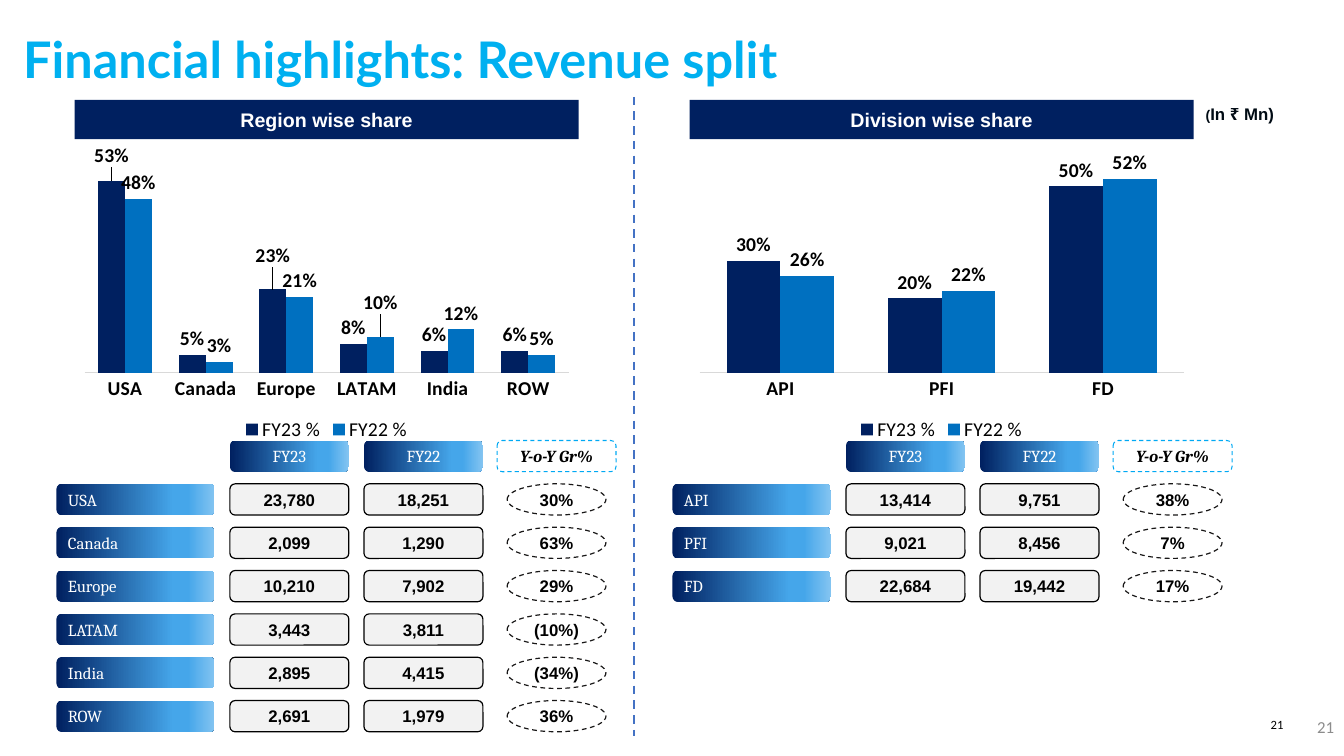
"""Build the revenue split slide with two charts and their figures."""
from copy import deepcopy

from lxml import etree
from pptx import Presentation
from pptx import util as u
from pptx.chart.data import CategoryChartData
from pptx.dml.color import RGBColor
from pptx.enum import chart as ch, dml, shapes, text
from pptx.oxml import parse_xml
from pptx.oxml.ns import nsdecls, qn

NAVY = RGBColor(0x00, 0x20, 0x60)
BLUE = RGBColor(0x00, 0x70, 0xC0)
SKY = RGBColor(0x00, 0xB0, 0xF0)
CYAN = RGBColor(0x00, 0xA9, 0xF4)
DIVIDER = RGBColor(0x44, 0x72, 0xC4)
MID = RGBColor(0x45, 0xA6, 0xEA)
PALE = RGBColor(0x83, 0xC4, 0xF1)
INK = RGBColor(0x00, 0x0B, 0x14)
OVAL = RGBColor(0x18, 0x17, 0x17)
BLACK = RGBColor(0, 0, 0)
WHITE = RGBColor(0xFF, 0xFF, 0xFF)
LIGHT = RGBColor(0xF2, 0xF2, 0xF2)
RULE = RGBColor(0xD9, 0xD9, 0xD9)
GREY = RGBColor(0x8C, 0x8C, 0x8C)

GRADIENT = [(0, NAVY), (0.74, MID), (0.83, MID), (1, PALE)]
LEFT, CENTER, RIGHT = text.PP_ALIGN.LEFT, text.PP_ALIGN.CENTER, text.PP_ALIGN.RIGHT
RECT = shapes.MSO_SHAPE.RECTANGLE
ROUND = shapes.MSO_SHAPE.ROUNDED_RECTANGLE
ELLIPSE = shapes.MSO_SHAPE.OVAL
TABLE_TOP, ROW_PITCH, ROW_HEIGHT = 4.37, 0.43, 0.31
LABEL_WIDTH, CELL_WIDTH, OVAL_WIDTH = 1.57, 1.18, 0.98
COLUMNS = [1.72, 3.05, 4.37]

REGIONS = [
    ("USA", "23,780", "18,251", "30%", 0.53, 0.48),
    ("Canada", "2,099", "1,290", "63%", 0.05, 0.03),
    ("Europe", "10,210", "7,902", "29%", 0.23, 0.21),
    ("LATAM", "3,443", "3,811", "(10%)", 0.08, 0.10),
    ("India", "2,895", "4,415", "(34%)", 0.06, 0.12),
    ("ROW", "2,691", "1,979", "36%", 0.06, 0.05),
]
DIVISIONS = [
    ("API", "13,414", "9,751", "38%", 0.30, 0.26),
    ("PFI", "9,021", "8,456", "7%", 0.20, 0.22),
    ("FD", "22,684", "19,442", "17%", 0.50, 0.52),
]
RAISED_LABELS = [(0, 0, -0.03), (0, 2, -0.06), (1, 3, -0.06)]


class Deck:
    def __init__(self):
        self.prs = Presentation()
        self.prs.slide_width, self.prs.slide_height = u.Inches(13.33), u.Inches(7.5)
        self.slide = self.prs.slides.add_slide(self.prs.slide_layouts[5])

    def font(self, font, name, size, color, bold=False, italic=False):
        font.name, font.size, font.color.rgb = name, u.Pt(size), color
        font.bold, font.italic = bold, italic

    def set_text(self, sp, words, align, *style, anchor=text.MSO_ANCHOR.MIDDLE):
        tf = sp.text_frame
        tf.word_wrap = True
        tf.auto_size = text.MSO_AUTO_SIZE.NONE
        tf.vertical_anchor = anchor
        p = tf.paragraphs[0]
        p.alignment = align
        self.font(p.font, *style)
        for word in words:
            p.add_run().text = word
        return p

    def title(self, words, x, y, w, h):
        sp = self.slide.shapes.title
        sp.left, sp.top, sp.width, sp.height = map(u.Inches, (x, y, w, h))
        self.set_text(sp, [words], LEFT, "Lato", 36, SKY, True)

    def box(self, words, x, y, w, h, align, *style, **options):
        sp = self.slide.shapes.add_textbox(*map(u.Inches, (x, y, w, h)))
        return sp, self.set_text(sp, words, align, *style, **options)

    def shape(self, kind, words, x, y, w, align, *style, h=ROW_HEIGHT,
              fill=None, line=None, width=0.85, dashed=False):
        sp = self.slide.shapes.add_shape(kind, *map(u.Inches, (x, y, w, h)))
        sp.shadow.inherit = False
        if fill is GRADIENT:
            self.gradient(sp)
        elif fill is None:
            sp.fill.background()
        else:
            sp.fill.solid()
            sp.fill.fore_color.rgb = fill
        if line is None:
            sp.line.fill.background()
        else:
            sp.line.color.rgb, sp.line.width = line, u.Pt(width)
            if dashed:
                sp.line.dash_style = dml.MSO_LINE.DASH
        self.set_text(sp, [words], align, *style)

    def gradient(self, sp):
        sp.fill.gradient()
        sp.fill.gradient_angle = 0
        stops = sp.element.spPr.find(".//" + qn("a:gsLst"))
        while len(stops) < len(GRADIENT):
            stops.append(deepcopy(stops[0]))
        for stop, (position, color) in zip(sp.fill.gradient_stops, GRADIENT):
            stop.position, stop.color.rgb = position, color

    def divider(self, x, top, bottom):
        line = self.slide.shapes.add_connector(
            shapes.MSO_CONNECTOR.STRAIGHT, *map(u.Inches, (x, top, x, bottom)))
        line.line.color.rgb, line.line.width = DIVIDER, u.Pt(1.5)
        line.line.dash_style = dml.MSO_LINE.DASH
        etree.SubElement(line.element.spPr, qn("a:effectLst"))

    def layout(self, **values):
        items = "".join(f'<c:{key} val="{value}"/>' for key, value in values.items())
        return parse_xml(f'<c:layout {nsdecls("c")}><c:manualLayout>{items}'
                         '</c:manualLayout></c:layout>')

    def chart(self, rows, x, plot_height, raised):
        data = CategoryChartData(number_format="0%")
        data.categories = [row[0] for row in rows]
        for name, column in (("FY23 %", 4), ("FY22 %", 5)):
            data.add_series(name, [row[column] for row in rows])
        chart = self.slide.shapes.add_chart(
            ch.XL_CHART_TYPE.COLUMN_CLUSTERED,
            *map(u.Inches, (x, 1.42, 5, 3)), data).chart
        self.font(chart.font, "Calibri", 14, BLACK)
        chart.has_title = False
        chart.has_legend = True
        chart.legend.position = ch.XL_LEGEND_POSITION.BOTTOM
        chart.legend.include_in_layout = False
        self.font(chart.legend.font, "Calibri", 14, BLACK)
        axis = chart.category_axis
        axis.major_tick_mark = ch.XL_TICK_MARK.NONE
        axis.format.line.color.rgb, axis.format.line.width = RULE, u.Pt(0.75)
        self.font(axis.tick_labels.font, "Calibri", 14, BLACK, True)
        values = chart.value_axis
        values.visible = values.has_major_gridlines = False
        values.minimum_scale, values.maximum_scale = 0, 0.6
        plot = chart.plots[0]
        plot.gap_width, plot.overlap, plot.vary_by_categories = 100, 0, False
        for series, color in zip(plot.series, (NAVY, BLUE)):
            series.format.fill.solid()
            series.format.fill.fore_color.rgb = color
            labels = series.data_labels
            labels.show_value = True
            labels.number_format, labels.number_format_is_linked = "0%", False
            labels.position = ch.XL_LABEL_POSITION.OUTSIDE_END
            self.font(labels.font, "Calibri", 14, BLACK, True)
        for index, point, shift in raised:
            label = plot.series[index].points[point].data_label
            label.position = ch.XL_LABEL_POSITION.OUTSIDE_END
            self.font(label.font, "Calibri", 14, BLACK, True)
            idx = chart.element.xpath(f".//c:ser[{index + 1}]//c:dLbl/c:idx[@val={point}]")[0]
            idx.addnext(self.layout(x=0, y=shift))
        area = chart.element.find(".//" + qn("c:plotArea"))
        for old in area.findall(qn("c:layout")):
            area.remove(old)
        area.insert(0, self.layout(layoutTarget="inner", xMode="edge", yMode="edge", x=0.02,
                                   y=round(0.755 - plot_height, 2), w=0.96, h=plot_height))

    def table(self, rows, x):
        for name, offset in zip(("FY23", "FY22"), COLUMNS):
            self.shape(ROUND, name, x + offset, TABLE_TOP, CELL_WIDTH, CENTER,
                       "Cambria", 12, WHITE, fill=GRADIENT)
        self.shape(ROUND, "Y-o-Y Gr%", x + COLUMNS[2], TABLE_TOP, CELL_WIDTH, CENTER,
                   "Cambria", 12, BLACK, True, True, line=CYAN, width=0.75, dashed=True)
        for i, (name, fy23, fy22, growth, *_) in enumerate(rows, 1):
            y = TABLE_TOP + i * ROW_PITCH
            self.shape(ROUND, name, x, y, LABEL_WIDTH, LEFT,
                       "Cambria", 12, WHITE, fill=GRADIENT)
            for amount, offset in zip((fy23, fy22), COLUMNS):
                self.shape(ROUND, amount, x + offset, y, CELL_WIDTH, CENTER,
                           "Arial", 12, BLACK, True, fill=LIGHT, line=BLACK)
            self.shape(ELLIPSE, growth, x + COLUMNS[2] + 0.1, y, OVAL_WIDTH, CENTER,
                       "Arial", 12, BLACK, True, line=OVAL, dashed=True)

    def panel(self, heading, rows, chart_x, table_x, plot_height, raised=()):
        self.shape(RECT, heading, chart_x, 0.99, 5, CENTER,
                   "Arial", 14, WHITE, True, h=0.39, fill=NAVY)
        self.table(rows, table_x)
        self.chart(rows, chart_x, plot_height, raised)


def main():
    deck = Deck()
    deck.title("Financial highlights: Revenue split", 0.13, 0.22, 12.17, 0.71)
    sp, _ = deck.box(["21"], 12.37, 7.11, 0.36, 0.15, RIGHT, "Calibri", 9, BLACK,
                     anchor=text.MSO_ANCHOR.BOTTOM)
    tf = sp.text_frame
    tf.margin_left = tf.margin_right = tf.margin_top = tf.margin_bottom = 0
    deck.box(["21"], 10.33, 7.01, 3, 0.4, RIGHT, "Calibri", 12, GREY)
    _, p = deck.box(["(", "In ₹ Mn)"], 11.86, 0.98, 1.07, 0.3, LEFT,
                    "Arial", 12, INK, True, anchor=text.MSO_ANCHOR.TOP)
    p.runs[0].font.size = u.Pt(10)
    deck.panel("Region wise share", REGIONS, 0.74, 0.56, 0.72, RAISED_LABELS)
    deck.panel("Division wise share", DIVISIONS, 6.84, 6.67, 0.74)
    deck.divider(6.29, 0.96, 7.3)
    deck.prs.save("out.pptx")


if __name__ == "__main__":
    main()
